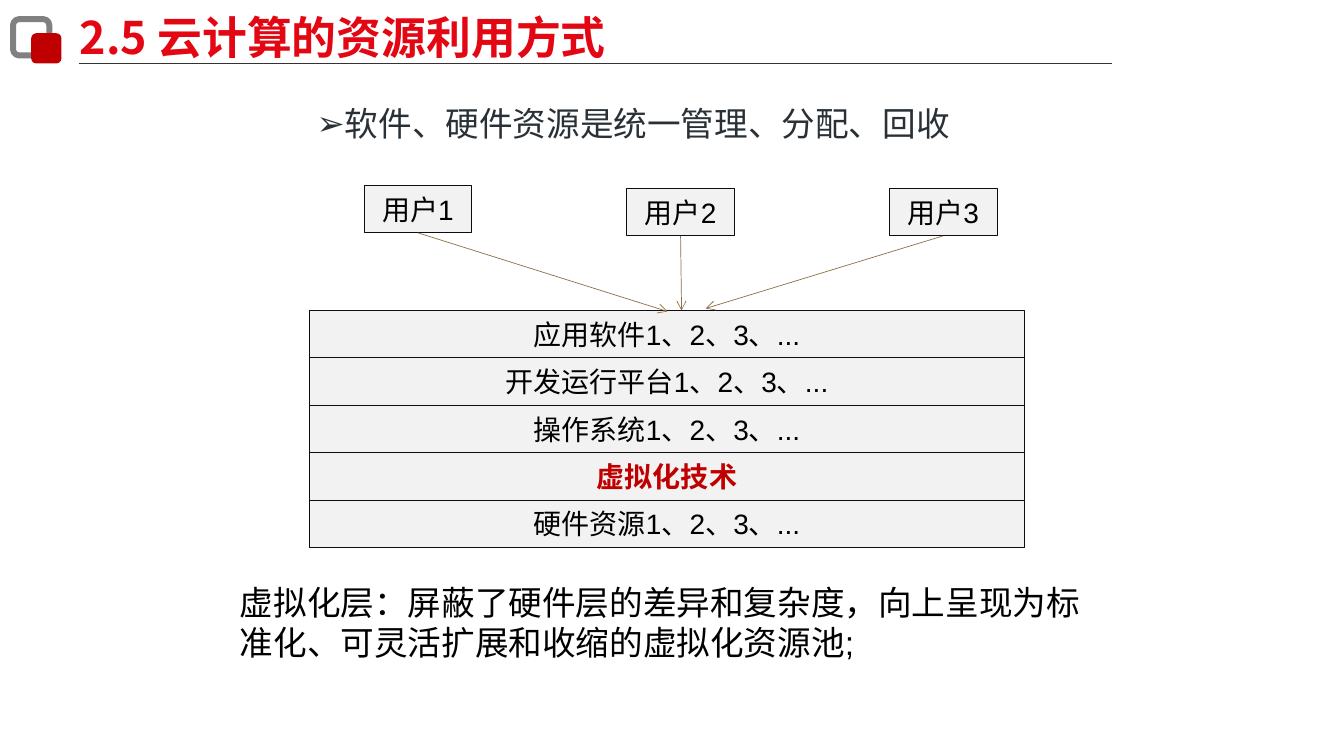
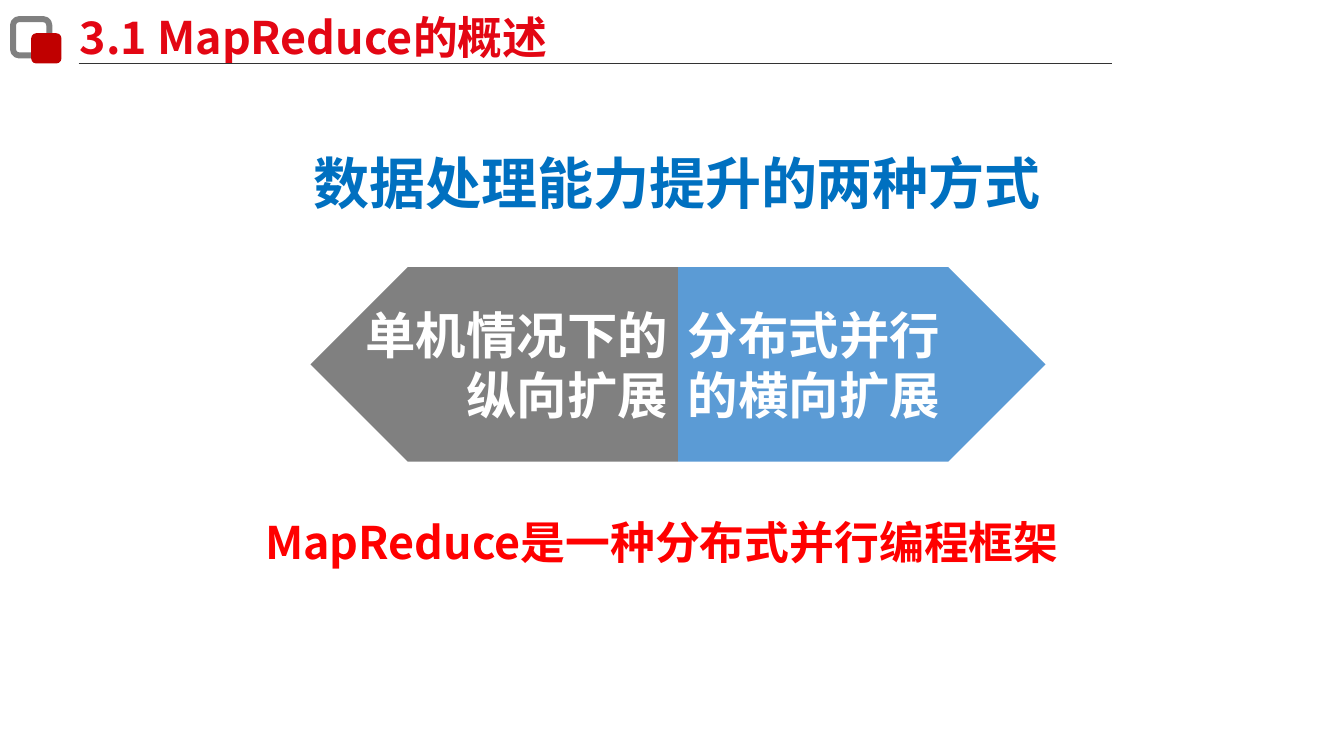
from collections import namedtuple

from lxml import etree
from pptx import Presentation
from pptx import util as u
from pptx.dml.color import RGBColor
from pptx.enum import shapes, text
from pptx.oxml import ns

RED = RGBColor(0xE3, 0x06, 0x13)
DEEP_RED = RGBColor(0xC0, 0x00, 0x00)
BRIGHT_RED = RGBColor(0xFF, 0x00, 0x00)
GRAY = RGBColor(0x80, 0x80, 0x80)
PALE = RGBColor(0xF2, 0xF2, 0xF2)
INK = RGBColor(0x0D, 0x0D, 0x0D)
RULE = RGBColor(0x33, 0x33, 0x33)
SLATE = RGBColor(0x29, 0x31, 0x36)
BROWN = RGBColor(0x8F, 0x70, 0x46)
BLUE = RGBColor(0x00, 0x70, 0xC0)
SKY = RGBColor(0x5B, 0x9B, 0xD5)
WHITE = RGBColor(0xFF, 0xFF, 0xFF)
BLACK = RGBColor(0x00, 0x00, 0x00)

HEAD_FONT = "Noto Sans CJK SC"
BODY_FONT = "Arial"
WIDTH, HEIGHT = 13.33, 7.5
LEFT, CENTER, RIGHT = (text.PP_ALIGN.LEFT, text.PP_ALIGN.CENTER,
                       text.PP_ALIGN.RIGHT)
TOP, MIDDLE = text.MSO_ANCHOR.TOP, text.MSO_ANCHOR.MIDDLE
KIND = shapes.MSO_SHAPE

# A region of the slide, in inches
Box = namedtuple("Box", "left top width height")
Style = namedtuple("Style", "size color font bold", defaults=(BODY_FONT, False))

TITLE = Style(32, RED, HEAD_FONT, True)
LABEL = Style(20, BLACK)
KEY_LABEL = Style(20, DEEP_RED, BODY_FONT, True)
PLATE = Style(36, WHITE, HEAD_FONT, True)


def inches(box):
    return [u.Inches(length) for length in box]


def place(shape, box):
    shape.left, shape.top, shape.width, shape.height = inches(box)


def write(shape, lines, style, align=LEFT, anchor=TOP, wrap=True):
    """Fill a shape with one paragraph per line."""
    frame = shape.text_frame
    frame.auto_size = text.MSO_AUTO_SIZE.NONE
    frame.word_wrap = wrap
    frame.vertical_anchor = anchor
    for index, line in enumerate(lines):
        paragraph = frame.add_paragraph() if index else frame.paragraphs[0]
        paragraph.alignment = align
        run = paragraph.add_run()
        run.text = line
        font = run.font
        font.size, font.bold, font.name = u.Pt(style.size), style.bold, style.font
        font.color.rgb = style.color
        east_asian = etree.Element(ns.qn("a:ea"), typeface=HEAD_FONT)
        font._element.find(ns.qn("a:latin")).addnext(east_asian)


def add_block(slide, kind, box, fill=None, line=None, line_width=0.5):
    block = slide.shapes.add_shape(kind, *inches(box))
    block.shadow.inherit = False
    if fill is None:
        block.fill.background()
    else:
        block.fill.solid()
        block.fill.fore_color.rgb = fill
    if line is None:
        block.line.fill.background()
    else:
        block.line.color.rgb = line
        block.line.width = u.Pt(line_width)
    return block


def add_line(slide, start, end, color, arrow=False):
    line = slide.shapes.add_connector(
        shapes.MSO_CONNECTOR.STRAIGHT, *inches(start + end))
    line.line.color.rgb = color
    line.line.width = u.Pt(0.5)
    if arrow:
        etree.SubElement(line.line._get_or_add_ln(), ns.qn("a:tailEnd"), type="arrow")
    etree.SubElement(line._element.spPr, ns.qn("a:effectLst"))
    return line


def add_text(slide, box, line, style):
    write(slide.shapes.add_textbox(*inches(box)), [line], style)


def add_header(slide, heading, box):
    """Icon of two rounded squares, a rule and the slide title."""
    add_block(slide, KIND.ROUNDED_RECTANGLE,
              Box(box.left, box.top + 0.14, 0.36, 0.36), line=GRAY, line_width=4.25)
    add_block(slide, KIND.ROUNDED_RECTANGLE,
              Box(box.left + 0.18, box.top + 0.28, 0.3, 0.3), fill=DEEP_RED)
    rule_y = box.top + 0.58
    add_line(slide, (box.left + 0.65, rule_y), (box.left + box.width, rule_y), RULE)
    place(slide.shapes.title,
          Box(box.left + 0.56, box.top, box.width - 0.56, box.height))
    write(slide.shapes.title, [heading], TITLE)


def add_point(slide, point, box):
    body = slide.placeholders[1]
    place(body, box)
    paragraph = body.text_frame.paragraphs[0]
    properties = paragraph._p.get_or_add_pPr()
    indent = u.Inches(0.19)
    properties.set("marL", str(indent))
    properties.set("indent", str(-indent))
    etree.SubElement(properties, ns.qn("a:buFont"), typeface=BODY_FONT)
    etree.SubElement(properties, ns.qn("a:buChar"), char="➢")
    paragraph.line_spacing = 0.9
    paragraph.space_before = u.Pt(0)
    write(body, [point], Style(24, SLATE))


def add_label(slide, label, box, style=LABEL):
    block = add_block(slide, KIND.RECTANGLE, box, PALE, INK)
    write(block, [label], style, CENTER, MIDDLE)
    return block


def add_layers(slide, layers, box):
    row = box.height / len(layers)
    for index, (layer, style) in enumerate(layers):
        add_label(slide, layer,
                  Box(box.left, box.top + index * row, box.width, row), style)


def add_users(slide, users, box):
    """Evenly spread user boxes, each with an arrow to its target."""
    width, height = 1.07, 0.47
    pitch = (box.width - width) / (len(users) - 1)
    for index, (user, drop, target) in enumerate(users):
        left, top = box.left + index * pitch, box.top + drop
        block = add_label(slide, user, Box(left, top, width, height))
        arrow = add_line(slide, (left + width / 2, top + height), target,
                         BROWN, arrow=True)
        arrow.begin_connect(block, 2)


def add_two_ways(slide, vertical, horizontal, box):
    """Two pentagons back to back, pointing outwards."""
    half = box.width / 2
    right = add_block(slide, KIND.PENTAGON,
                      Box(box.left + half, box.top, half, box.height), SKY)
    write(right, horizontal, PLATE, LEFT, MIDDLE)
    left = add_block(slide, KIND.PENTAGON,
                     Box(box.left, box.top, half, box.height), GRAY)
    left._element.spPr.xfrm.set("flipH", "1")
    write(left, vertical, PLATE, RIGHT, MIDDLE, wrap=False)


def build_resource_slide(deck, header):
    slide = deck.slides.add_slide(deck.slide_layouts[1])
    add_header(slide, "2.5 云计算的资源利用方式", header)
    add_point(slide, "软件、硬件资源是统一管理、分配、回收", Box(3.04, 1.02, 7.01, 0.43))
    add_layers(slide, [
        ("应用软件1、2、3、...", LABEL),
        ("开发运行平台1、2、3、...", LABEL),
        ("操作系统1、2、3、...", LABEL),
        ("虚拟化技术", KEY_LABEL),
        ("硬件资源1、2、3、...", LABEL),
    ], Box(3.07, 3.08, 7.09, 2.35))
    add_users(slide, [
        ("用户1", 0, (6.62, 3.09)),
        ("用户2", 0.03, (6.76, 3.08)),
        ("用户3", 0.03, (7, 3.06)),
    ], Box(3.61, 1.84, 6.28, 0.5))
    add_text(slide, Box(2.28, 5.72, 8.75, 0.91),
             "虚拟化层：屏蔽了硬件层的差异和复杂度，向上呈现为标准化、"
             "可灵活扩展和收缩的虚拟化资源池;", Style(24, BLACK))


def build_mapreduce_slide(deck, header):
    slide = deck.slides.add_slide(deck.slide_layouts[5])
    add_header(slide, "3.1 MapReduce的概述", header)
    add_two_ways(slide, ["单机情况下的", "纵向扩展"], ["分布式并行的横向扩展"],
                 Box(3.08, 2.65, 7.29, 1.93))
    add_text(slide, Box(3.01, 1.42, 7.49, 0.77), "数据处理能力提升的两种方式",
             Style(40, BLUE, HEAD_FONT, True))
    add_text(slide, Box(2.53, 5.06, 8.25, 0.64), "MapReduce是一种分布式并行编程框架",
             Style(32, BRIGHT_RED, HEAD_FONT, True))


def main():
    deck = Presentation()
    deck.slide_width, deck.slide_height = u.Inches(WIDTH), u.Inches(HEIGHT)
    header = Box(0.13, 0.05, 10.9, 0.64)
    build_resource_slide(deck, header)
    build_mapreduce_slide(deck, header)
    deck.save("out.pptx")


if __name__ == "__main__":
    main()
